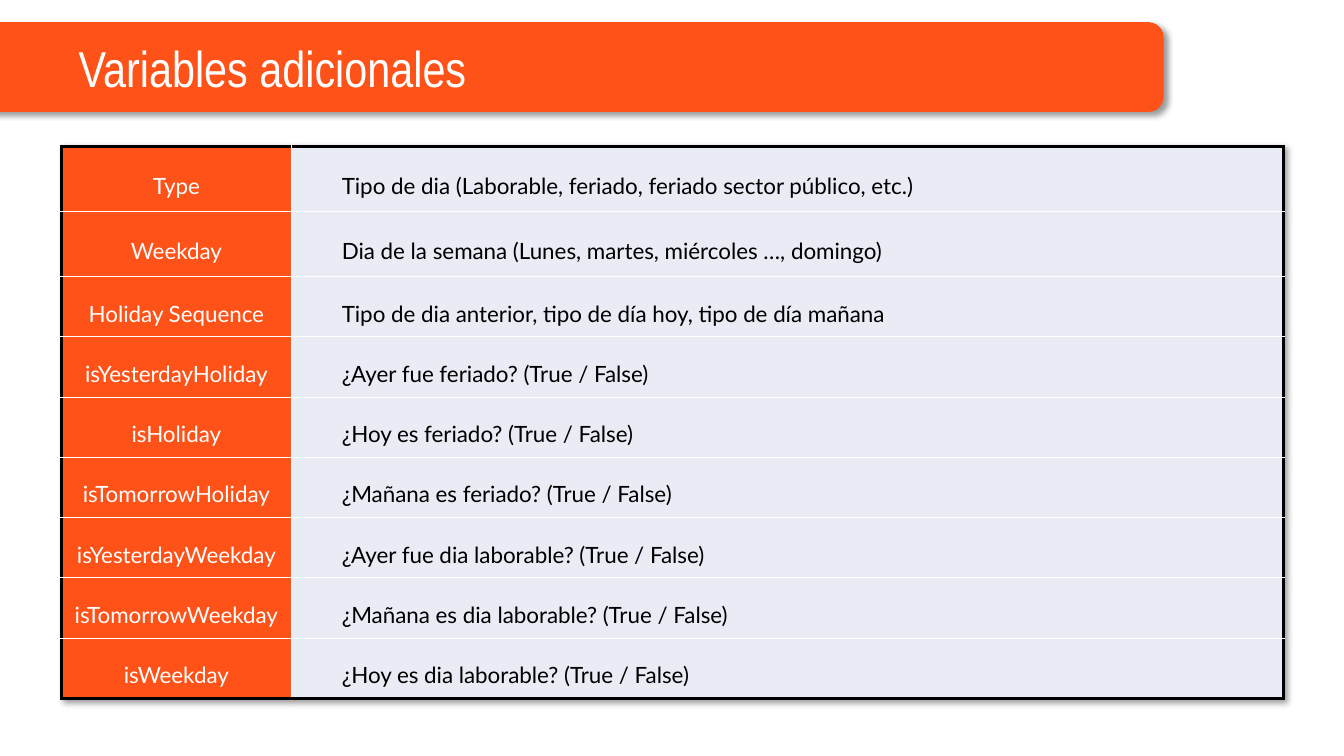
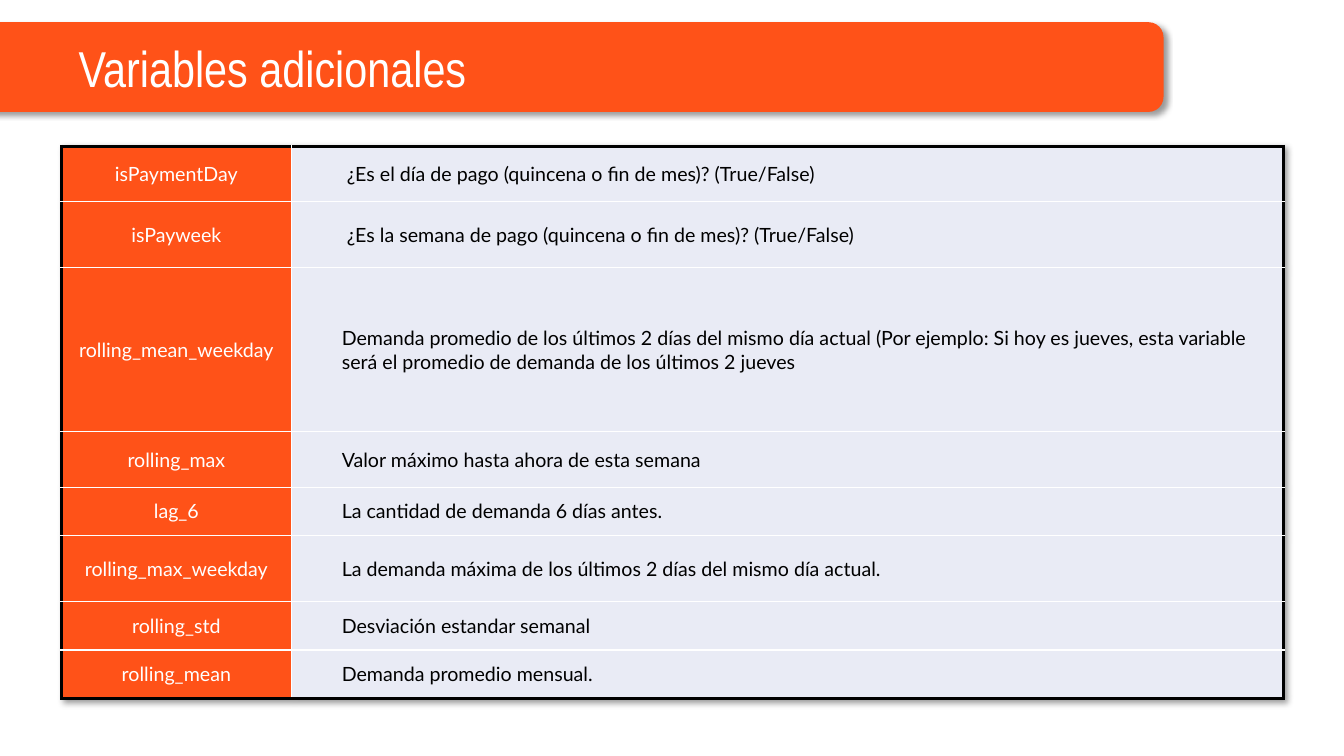
from lxml.etree import SubElement
from pptx import Presentation
from pptx.dml.color import RGBColor
from pptx.enum.shapes import MSO_SHAPE
from pptx.enum.text import MSO_ANCHOR, PP_ALIGN
from pptx.oxml import parse_xml
from pptx.oxml.ns import nsdecls, qn
from pptx.util import Inches, Pt

# Content: name, description, relative row height
TITLE = "Variables adicionales"
PAGES = [
    {"size": 16, "spacing": 1.5, "rows": [
        ("Type", "Tipo de dia (Laborable, feriado, feriado sector público, etc.)", 0.65),
        ("Weekday", "Dia de la semana (Lunes, martes, miércoles …, domingo)", 0.65),
        ("Holiday Sequence", "Tipo de dia anterior, tipo de día hoy, tipo de día mañana", 0.6),
        ("isYesterdayHoliday", "¿Ayer fue feriado? (True / False)", 0.6),
        ("isHoliday", "¿Hoy es feriado? (True / False)", 0.6),
        ("isTomorrowHoliday", "¿Mañana es feriado? (True / False)", 0.6),
        ("isYesterdayWeekday", "¿Ayer fue dia laborable? (True / False)", 0.6),
        ("isTomorrowWeekday", "¿Mañana es dia laborable? (True / False)", 0.6),
        ("isWeekday", "¿Hoy es dia laborable? (True / False)", 0.6),
    ]},
    {"size": 14, "spacing": 1.0, "rows": [
        ("isPaymentDay", " ¿Es el día de pago (quincena o fin de mes)? (True/False)", 0.55),
        ("isPayweek", " ¿Es la semana de pago (quincena o fin de mes)? (True/False)", 0.66),
        ("rolling_mean_weekday",
         "Demanda promedio de los últimos 2 días del mismo día actual (Por ejemplo: "
         "Si hoy es jueves, esta variable será el promedio de demanda de los "
         "últimos 2 jueves", 1.63),
        ("rolling_max", "Valor máximo hasta ahora de esta semana", 0.55),
        ("lag_6", "La cantidad de demanda 6 días antes.", 0.48),
        ("rolling_max_weekday",
         "La demanda máxima de los últimos 2 días del mismo día actual.", 0.66),
        ("rolling_std", "Desviación estandar semanal", 0.48),
        ("rolling_mean", "Demanda promedio mensual.", 0.48),
    ]},
]

# Shared look
ORANGE = RGBColor(0xFF, 0x52, 0x18)
PALE = RGBColor(0xE9, 0xEB, 0xF5)
BLACK = RGBColor(0, 0, 0)
WHITE = RGBColor(0xFF, 0xFF, 0xFF)
TITLE_FONT = {"name": "Arial Narrow", "size": Pt(36)}
BODY_FONT = "Lato"
BAND = (-0.36, 0.22, 11.9, 0.89)
TITLE_LEFT = 0.68
TABLE = (0.61, 1.45, 12.12, 5.48)
COLUMNS = (2.28, 9.84)
OUTER, INNER = (BLACK, 2.25), (WHITE, 1)
COLUMN_STYLES = [
    {"fill": ORANGE, "color": WHITE, "alignment": PP_ALIGN.CENTER, "indent": 0},
    {"fill": PALE, "color": BLACK, "alignment": PP_ALIGN.LEFT, "indent": 0.5},
]


def set_all(target, values):
    for name, value in values.items():
        setattr(target, name, value)


def drop_shadow():
    return parse_xml(
        f'<a:effectLst {nsdecls("a")}><a:outerShdw blurRad="50800" dist="38100" '
        'dir="2700000" algn="tl" rotWithShape="0"><a:srgbClr val="000000">'
        '<a:alpha val="40000"/></a:srgbClr></a:outerShdw></a:effectLst>')


def add_band(layout, page):
    """Draw the title band and move it behind the layout's placeholders."""
    band = page.shapes.add_shape(MSO_SHAPE.ROUNDED_RECTANGLE, *map(Inches, BAND))
    band.fill.solid()
    band.fill.fore_color.rgb = ORANGE
    band.line.fill.background()
    band._element.spPr.append(drop_shadow())
    layout.shapes._spTree.insert(2, band._element)


def add_title(page):
    left, top, width, height = BAND
    title = page.shapes.title
    set_all(title, {"left": Inches(TITLE_LEFT), "top": Inches(top), "height": Inches(height),
                    "width": Inches(left + width - TITLE_LEFT)})
    title.text_frame.text = TITLE
    title.text_frame.vertical_anchor = MSO_ANCHOR.MIDDLE
    para = title.text_frame.paragraphs[0]
    para.alignment = PP_ALIGN.LEFT
    set_all(para.font, TITLE_FONT)
    para.font.color.rgb = WHITE


def set_borders(cell, borders):
    properties = cell._tc.get_or_add_tcPr()
    for position, (side, (color, width)) in enumerate(borders.items()):
        line = SubElement(properties, qn(f"a:ln{side}"), w=str(Pt(width)))
        fill = SubElement(line, qn("a:solidFill"))
        SubElement(fill, qn("a:srgbClr"), val=str(color))
        properties.insert(position, line)


def fill_cell(cell, text, style, size, spacing):
    cell.fill.solid()
    cell.fill.fore_color.rgb = style["fill"]
    set_all(cell, {"text": text, "vertical_anchor": MSO_ANCHOR.MIDDLE,
                   "margin_left": Inches(style["indent"]), "margin_right": 0,
                   "margin_top": 0, "margin_bottom": 0})
    para = cell.text_frame.paragraphs[0]
    set_all(para, {"alignment": style["alignment"], "line_spacing": spacing})
    set_all(para.runs[0].font, {"name": BODY_FONT, "size": Pt(size), "bold": False})
    para.runs[0].font.color.rgb = style["color"]


def add_variables(page, rows, size, spacing):
    frame = page.shapes.add_table(len(rows), len(COLUMNS), *map(Inches, TABLE))
    table = frame.table
    set_all(table, {"first_row": False, "horz_banding": False})
    table._tbl.tblPr.insert(0, drop_shadow())
    for column, width in zip(table.columns, COLUMNS):
        column.width = Inches(width)
    scale = TABLE[3] / sum(share for *_, share in rows)
    last_row, last_column = len(rows) - 1, len(COLUMNS) - 1
    for r, (*texts, share) in enumerate(rows):
        table.rows[r].height = Inches(share * scale)
        for c, (text, style) in enumerate(zip(texts, COLUMN_STYLES)):
            cell = table.cell(r, c)
            fill_cell(cell, text, style, size, spacing)
            set_borders(cell, {
                "L": OUTER if c == 0 else INNER,
                "R": OUTER if c == last_column else INNER,
                "T": OUTER if r == 0 else INNER,
                "B": OUTER if r == last_row else INNER})


def main():
    deck = Presentation()
    deck.slide_width, deck.slide_height = Inches(13.33), Inches(7.5)
    layout = deck.slide_layouts.get_by_name("Title Only")
    for number, content in enumerate(PAGES):
        page = deck.slides.add_slide(layout)
        if number == 0:
            add_band(layout, page)
        add_title(page)
        add_variables(page, **content)
    deck.save("out.pptx")


if __name__ == "__main__":
    main()
